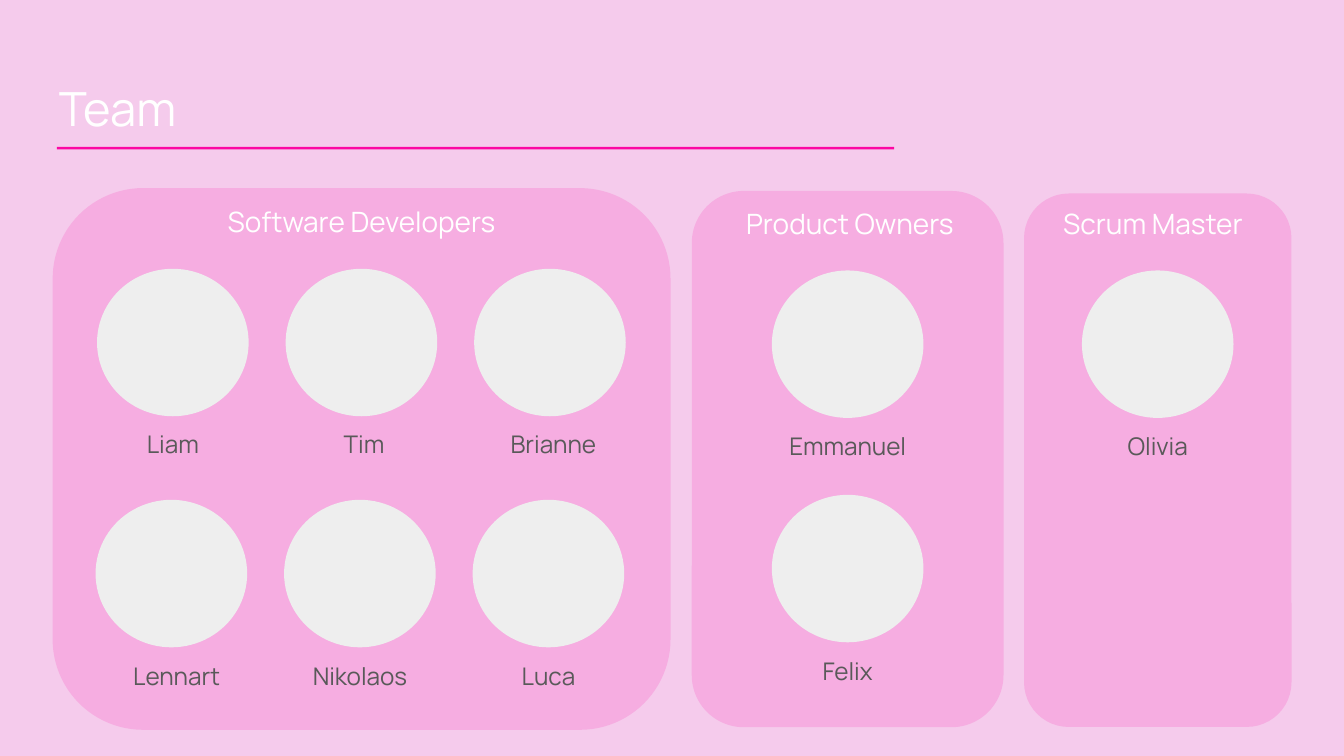
from typing import NamedTuple

from lxml.etree import SubElement
from pptx import Presentation
from pptx.dml.color import RGBColor
from pptx.enum.shapes import MSO_SHAPE as Shape
from pptx.enum.text import PP_ALIGN as Align
from pptx.oxml.ns import qn
from pptx.util import Pt

COLORS = {
    "background": "F5CBEC",
    "accent": "FC07A3",
    "portrait": "EEEEEE",
    "heading": "FFFFFF",
    "name": "595959",
}
FONT = "Manrope"
INSET = 7.2
PORTRAIT_WIDTH, PORTRAIT_HEIGHT = 81.2, 79
PORTRAIT_PITCH = 101
LABEL_WIDTH, LABEL_HEIGHT = 87, 36.7


class Box(NamedTuple):
    left: float
    top: float
    width: float
    height: float


class Member(NamedTuple):
    name: str
    label_shift: float = 0


class Row(NamedTuple):
    left: float
    top: float
    members: list[Member]


class Team(NamedTuple):
    heading: str
    panel: Box
    heading_box: Box
    rows: list[Row]


TEAMS = [
    Team("Software Developers", Box(28.2, 100.8, 331, 290.2), Box(90, 102.2, 207.4, 39.6), [
        Row(52, 144, [Member("Liam"), Member("Tim", 1.4), Member("Brianne", 1.8)]),
        Row(51.2, 267.8, [Member("Lennart", 2.8), Member("Nikolaos"), Member("Luca")]),
    ]),
    Team("Product Owners", Box(370.6, 102.3, 167, 287.3), Box(379, 103.7, 152.6, 39.6), [
        Row(413.5, 144.9, [Member("Emmanuel")]),
        Row(413.5, 265.1, [Member("Felix")]),
    ]),
    Team("Scrum Master", Box(548.6, 103.7, 143.3, 285.8), Box(548.6, 103.7, 138.2, 36.7), [
        Row(579.6, 144.9, [Member("Olivia")]),
    ]),
]


def add_filled(slide, kind: Shape, box: Box, color: str, opacity: int = 100):
    shape = slide.shapes.add_shape(kind, *map(Pt, box))
    shape.shadow.inherit = False
    shape.line.fill.background()
    shape.fill.solid()
    shape.fill.fore_color.rgb = RGBColor.from_string(COLORS[color])
    if opacity < 100:
        color_element = shape._element.spPr.find(f"{qn('a:solidFill')}/{qn('a:srgbClr')}")
        SubElement(color_element, qn("a:alpha"), val=str(opacity * 1000))
    return shape


def add_text(slide, text: str, box: Box, *, size: float, color: str,
             align: Align = Align.CENTER, space_after: float = 0) -> None:
    frame = slide.shapes.add_textbox(*map(Pt, box)).text_frame
    frame.word_wrap = True
    frame.margin_left = frame.margin_right = Pt(INSET)
    frame.margin_top = frame.margin_bottom = Pt(INSET)
    para = frame.paragraphs[0]
    para.alignment = align
    para.space_after = Pt(space_after)
    span = para.add_run()
    span.text = text
    span.font.name = FONT
    span.font.size = Pt(size)
    span.font.color.rgb = RGBColor.from_string(COLORS[color])


def add_member(slide, member: Member, left: float, top: float) -> None:
    """Draw a portrait circle with the member's name centred below it."""
    add_filled(slide, Shape.OVAL, Box(left, top, PORTRAIT_WIDTH, PORTRAIT_HEIGHT), "portrait")
    label_left = left + (PORTRAIT_WIDTH - LABEL_WIDTH) / 2 + member.label_shift
    label = Box(label_left, top + PORTRAIT_HEIGHT, LABEL_WIDTH, LABEL_HEIGHT)
    add_text(slide, member.name, label, size=13, color="name")


def add_team(slide, team: Team) -> None:
    panel = add_filled(slide, Shape.ROUNDED_RECTANGLE, team.panel, "accent", opacity=15)
    panel.adjustments[0] = 0.167
    add_text(slide, team.heading, team.heading_box, size=15, color="heading", space_after=12)
    for row in team.rows:
        for column, member in enumerate(row.members):
            add_member(slide, member, row.left + column * PORTRAIT_PITCH, row.top)


def main() -> None:
    deck = Presentation()
    deck.slide_width, deck.slide_height = Pt(720), Pt(405)
    slide = deck.slides.add_slide(deck.slide_layouts[6])
    slide.background.fill.solid()
    slide.background.fill.fore_color.rgb = RGBColor.from_string(COLORS["background"])

    add_filled(slide, Shape.RECTANGLE, Box(30.5, 78.7, 448.6, 1.4), "accent")
    add_text(slide, "Team", Box(24.5, 35.3, 671, 45.4), size=25.2, color="heading",
             align=Align.LEFT)
    for team in TEAMS:
        add_team(slide, team)
    deck.save("out.pptx")


if __name__ == "__main__":
    main()
